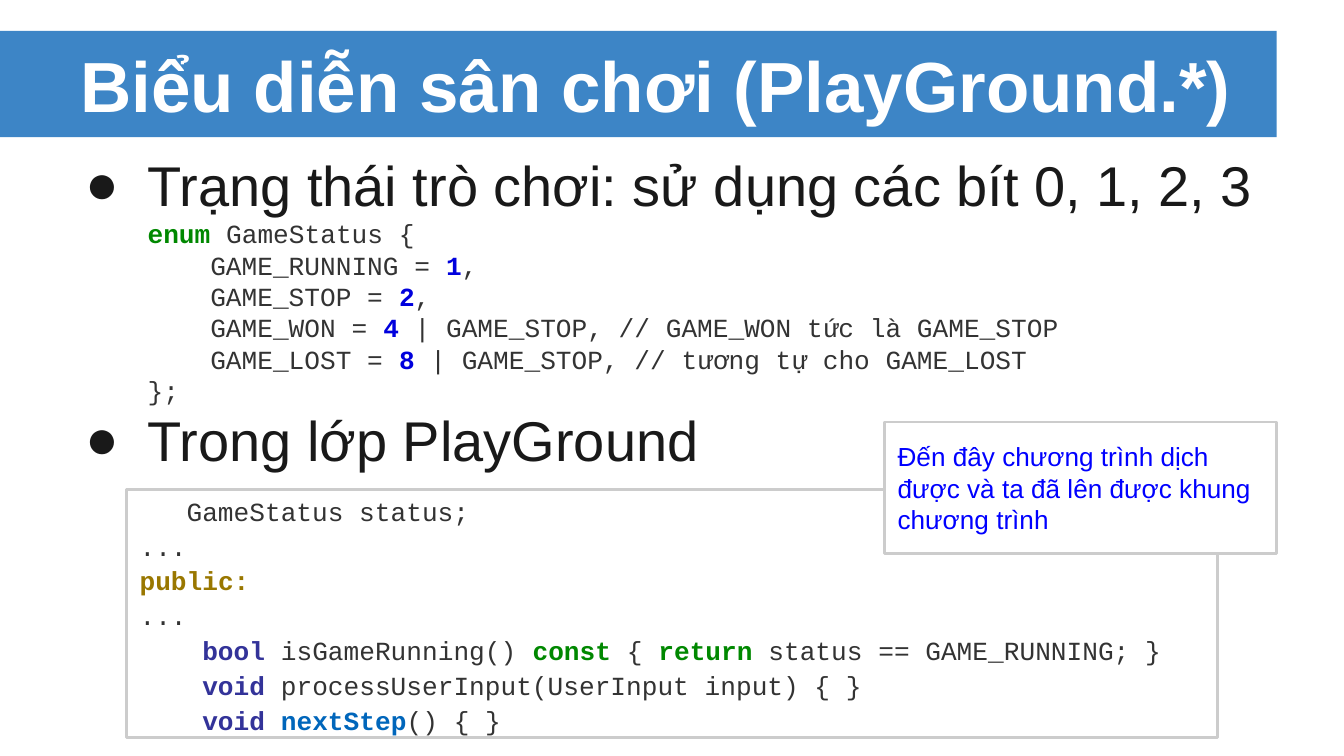
import pptx
import pptx.util
import pptx.dml.color
import pptx.enum.shapes
import pptx.enum.text
import pptx.oxml
import pptx.oxml.ns

Inches = pptx.util.Inches
Pt = pptx.util.Pt
ANCHOR = pptx.enum.text.MSO_ANCHOR
LEFT = pptx.enum.text.PP_ALIGN.LEFT

TEXT = "191919"
BORDER = "CCCCCC"
CODE_SIZE = 14
CHARACTER_WIDTH = 0.6 * CODE_SIZE  # points, Courier New
CODE_COLOURS = {
    "plain": "333333", "keyword": "008800", "number": "0000DD",
    "type": "333399", "access": "997700", "function": "0066BB",
}

# Each code line: indent in characters, then (text, style) pieces
ENUM_CODE = [
    (0, [("enum", "keyword"), (" GameStatus {", "plain")]),
    (4, [("GAME_RUNNING = ", "plain"), ("1", "number"), (",", "plain")]),
    (4, [("GAME_STOP = ", "plain"), ("2", "number"), (",", "plain")]),
    (4, [("GAME_WON = ", "plain"), ("4", "number"),
         (" | GAME_STOP, // GAME_WON tức là GAME_STOP", "plain")]),
    (4, [("GAME_LOST = ", "plain"), ("8", "number"),
         (" | GAME_STOP, // tương tự cho GAME_LOST", "plain")]),
    (0, [("};", "plain")]),
]
CLASS_CODE = [
    (3, [("GameStatus status;", "plain")]),
    (0, [("...", "plain")]),
    (0, [("public:", "access")]),
    (0, [("...", "plain")]),
    (4, [("bool", "type"), (" isGameRunning() ", "plain"),
         ("const", "keyword"), (" { ", "plain"), ("return", "keyword"),
         (" status == GAME_RUNNING; }", "plain")]),
    (4, [("void", "type"), (" processUserInput(UserInput input) { }", "plain")]),
    (4, [("void ", "type"), ("nextStep", "function"), ("() { }", "plain")]),
]


def colour(hex_string):
    return pptx.dml.color.RGBColor.from_string(hex_string)


def format_run(run, size, hex_string, font="Arial", bold=False):
    run.font.size = Pt(size)
    run.font.name = font
    run.font.bold = bold
    run.font.color.rgb = colour(hex_string)


def prepare_frame(text_frame, anchor):
    text_frame.word_wrap = True
    text_frame.auto_size = pptx.enum.text.MSO_AUTO_SIZE.NONE
    text_frame.vertical_anchor = anchor
    text_frame.margin_left = text_frame.margin_right = Inches(0.1)
    text_frame.margin_top = text_frame.margin_bottom = Inches(0.1)


def next_paragraph(text_frame):
    first = text_frame.paragraphs[0]
    paragraph = text_frame.add_paragraph() if first.runs else first
    paragraph.alignment = LEFT
    return paragraph


def set_indent(paragraph, left, first_line=0):
    properties = paragraph._p.get_or_add_pPr()
    properties.set("marL", str(int(left)))
    properties.set("indent", str(int(first_line)))
    return properties


def add_bullet(text_frame, text, space_before=0):
    paragraph = next_paragraph(text_frame)
    paragraph.text = text
    paragraph.space_before = Pt(space_before)
    format_run(paragraph.runs[0], 30, TEXT)
    properties = set_indent(paragraph, Inches(0.5), Inches(-0.46))
    namespace = pptx.oxml.ns.nsdecls("a")
    for xml in (
        f'<a:buClr {namespace}><a:srgbClr val="{TEXT}"/></a:buClr>',
        f'<a:buFont {namespace} typeface="Arial"/>',
        f'<a:buChar {namespace} char="●"/>',
    ):
        properties.append(pptx.oxml.parse_xml(xml))


def add_code(text_frame, lines, left=0, line_spacing=1.0):
    for indent, pieces in lines:
        paragraph = next_paragraph(text_frame)
        paragraph.line_spacing = line_spacing
        set_indent(paragraph, Inches(left) + Pt(indent * CHARACTER_WIDTH))
        for text, style in pieces:
            run = paragraph.add_run()
            run.text = text
            format_run(run, CODE_SIZE, CODE_COLOURS[style], "Courier New",
                       style != "plain")


def add_rectangle(slide, box, fill=None, line=None):
    shape = slide.shapes.add_shape(
        pptx.enum.shapes.MSO_SHAPE.RECTANGLE, *map(Inches, box))
    shape.shadow.inherit = False
    if fill:
        shape.fill.solid()
        shape.fill.fore_color.rgb = colour(fill)
    else:
        shape.fill.background()
    if line:
        shape.line.color.rgb = colour(line)
        shape.line.width = Pt(1.5)
    else:
        shape.line.fill.background()
    return shape


def add_title(slide, box, text):
    left, top, width, height = box
    add_rectangle(slide, (0, top, left + width, height), "3D85C6")
    title = slide.shapes.title
    title.left, title.top, title.width, title.height = map(Inches, box)
    prepare_frame(title.text_frame, ANCHOR.MIDDLE)
    title.text_frame.text = text
    paragraph = title.text_frame.paragraphs[0]
    paragraph.alignment = LEFT
    format_run(paragraph.runs[0], 38, "FFFFFF", bold=True)
    # Bring the title in front of its band
    title.element.getparent().append(title.element)


def add_body(slide, box):
    text_frame = slide.shapes.add_textbox(*map(Inches, box)).text_frame
    prepare_frame(text_frame, ANCHOR.TOP)
    add_bullet(text_frame, "Trạng thái trò chơi: sử dụng các bít 0, 1, 2, 3", 6)
    add_code(text_frame, ENUM_CODE, left=0.5)
    add_bullet(text_frame, "Trong lớp PlayGround")


def add_code_box(slide, box):
    text_frame = add_rectangle(slide, box, line=BORDER).text_frame
    prepare_frame(text_frame, ANCHOR.MIDDLE)
    add_code(text_frame, CLASS_CODE, line_spacing=1.11)


def add_note_box(slide, box, text):
    text_frame = add_rectangle(slide, box, "FFFFFF", BORDER).text_frame
    prepare_frame(text_frame, ANCHOR.MIDDLE)
    paragraph = next_paragraph(text_frame)
    paragraph.text = text
    format_run(paragraph.runs[0], 14, "0000FF")


def main():
    presentation = pptx.Presentation()
    # Widescreen, 16:9
    presentation.slide_width = Inches(10)
    presentation.slide_height = Inches(10 * 9 / 16)
    slide = presentation.slides.add_slide(presentation.slide_layouts[5])
    add_title(slide, (0.5, 0.23, 9, 0.79), "Biểu diễn sân chơi (PlayGround.*)")
    add_body(slide, (0.5, 1.02, 9, 4.37))
    add_code_box(slide, (0.94, 3.64, 8.12, 1.85))
    add_note_box(slide, (6.58, 3.14, 2.92, 0.98),
                 "Đến đây chương trình dịch được và ta đã lên được khung chương trình")
    presentation.save("out.pptx")


if __name__ == "__main__":
    main()
